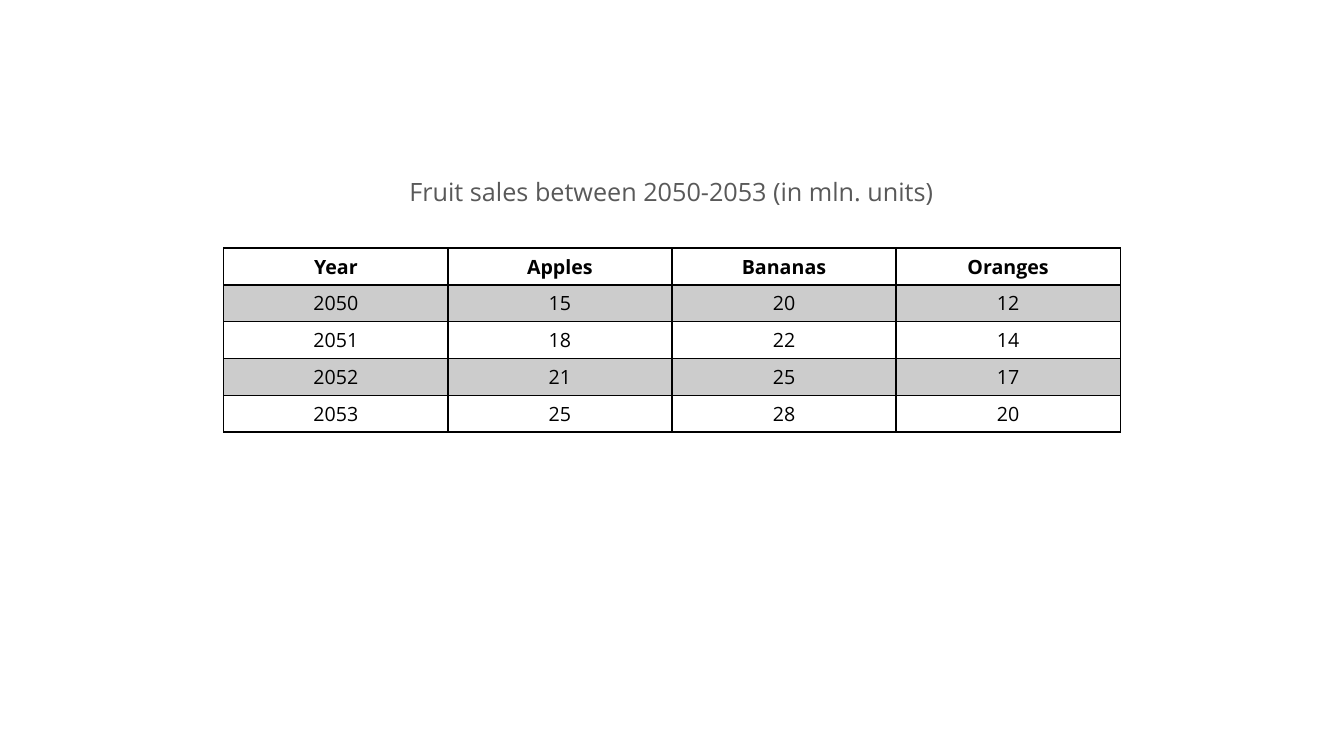
from lxml import etree
from pptx import Presentation
from pptx.dml.color import RGBColor
from pptx.enum.text import MSO_ANCHOR, MSO_AUTO_SIZE, PP_ALIGN
from pptx.oxml.ns import qn
from pptx.util import Inches, Pt

CENTER = PP_ALIGN.CENTER
MIDDLE = MSO_ANCHOR.MIDDLE
FIT_SHAPE = MSO_AUTO_SIZE.SHAPE_TO_FIT_TEXT
BLACK = RGBColor(0x00, 0x00, 0x00)
GRAY = RGBColor(0x59, 0x59, 0x59)
FONT = "Open Sans"

SALES = [
    ("Year", "Apples", "Bananas", "Oranges"),
    ("2050", "15", "20", "12"),
    ("2051", "18", "22", "14"),
    ("2052", "21", "25", "17"),
    ("2053", "25", "28", "20"),
]


def add_text(tf, text, size, color, bold=False):
    p = tf.paragraphs[0]
    p.alignment = CENTER
    r = p.add_run()
    r.text = text
    r.font.name = FONT
    r.font.size = Pt(size)
    r.font.bold = bold
    r.font.color.rgb = color


def add_border(cell, side, width):
    ln = etree.SubElement(cell._tc.get_or_add_tcPr(), qn(f"a:ln{side}"), w=str(Pt(width)))
    fill = etree.SubElement(ln, qn("a:solidFill"))
    etree.SubElement(fill, qn("a:srgbClr"), val=str(BLACK))


prs = Presentation()
prs.slide_width = Inches(13.33)
prs.slide_height = Inches(7.5)
s = prs.slides.add_slide(prs.slide_layouts[6])

# Sales table
frame = s.shapes.add_table(len(SALES), len(SALES[0]), Inches(2.22), Inches(2.46),
                           Inches(8.89), Inches(1.67))
table = frame.table
table.first_row = False
table.horz_banding = False
for row, values in enumerate(SALES):
    for col, value in enumerate(values):
        cell = table.cell(row, col)
        cell.vertical_anchor = MIDDLE
        add_text(cell.text_frame, value, 14, BLACK, bold=row == 0)

        # The rule under the header is twice as thick
        add_border(cell, "L", 1)
        add_border(cell, "R", 1)
        add_border(cell, "T", 2 if row == 1 else 1)
        add_border(cell, "B", 2 if row == 0 else 1)

        # Odd rows are shaded with 20% black
        if row % 2:
            cell.fill.solid()
            cell.fill.fore_color.rgb = BLACK
            clr = cell._tc.tcPr.find(qn("a:solidFill")).find(qn("a:srgbClr"))
            etree.SubElement(clr, qn("a:alpha"), val="20000")
        else:
            cell.fill.background()

# Title
sp = s.shapes.add_textbox(Inches(3.33), Inches(1.7), Inches(6.66), Inches(0.41))
tf = sp.text_frame
tf.word_wrap = True
tf.auto_size = FIT_SHAPE
add_text(tf, "Fruit sales between 2050-2053 (in mln. units)", 18, GRAY)

prs.save("out.pptx")
